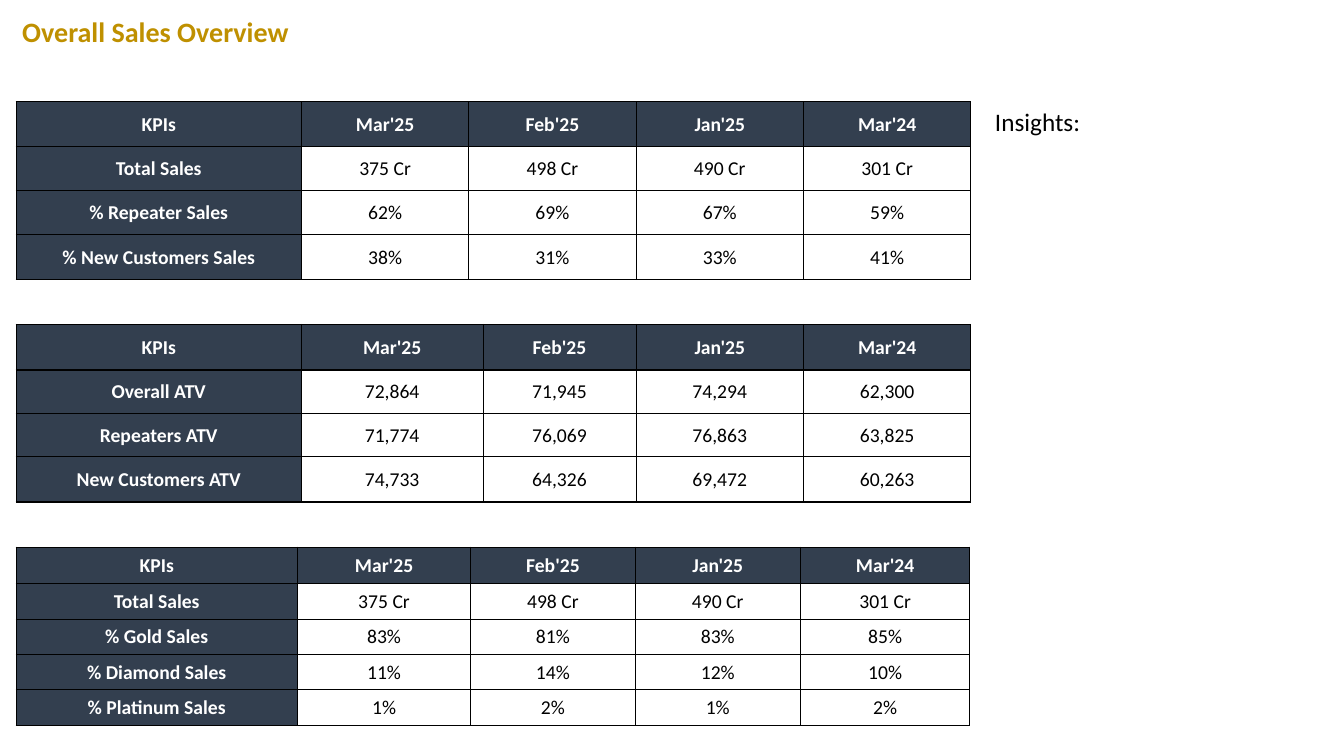
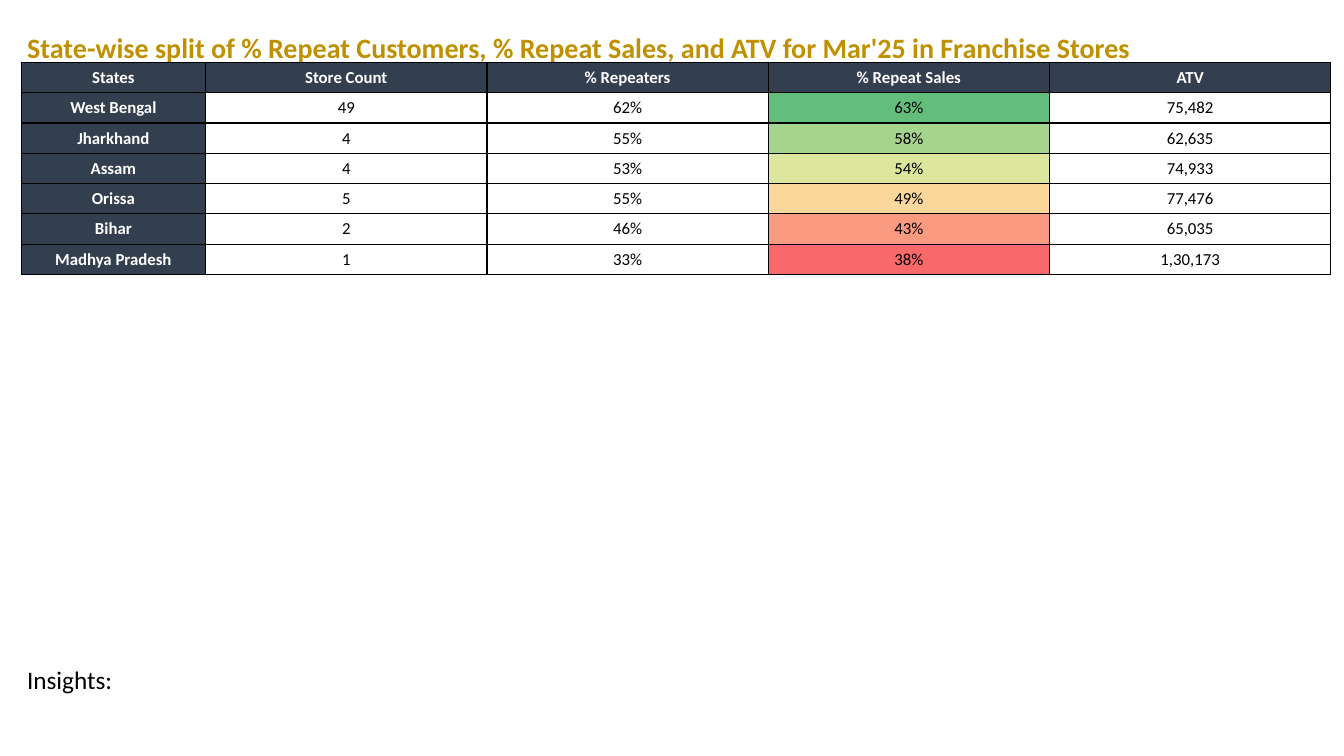
import lxml.etree
import pptx
import pptx.dml.color
import pptx.enum.text
import pptx.oxml.ns
import pptx.util

PX = 9144  # 100 px to the inch
FONT = "Calibri"
COLORS = {
    "title": "BF9000",
    "header": "333F4F",
    "white": "FFFFFF",
    "black": "000000",
}
ALIGN = pptx.enum.text.PP_ALIGN
ANCHOR = pptx.enum.text.MSO_ANCHOR
qn = pptx.oxml.ns.qn


def write(frame, text, size=18, color="black", bold=False, align=ALIGN.LEFT):
    paragraph = frame.paragraphs[0]
    paragraph.text = text
    paragraph.alignment = align
    font = paragraph.runs[0].font
    font.name = FONT
    font.size = pptx.util.Pt(size)
    font.bold = bold
    font.color.rgb = pptx.dml.color.RGBColor.from_string(COLORS[color])


def add_grid(slide, rows, top, columns, heights, left=16, size=14, tight=True,
             heavy_columns=(), heavy_rows=(), fills=None):
    """Table with dark header row and column; heavy lists name the 1 pt rules inside."""
    frame = slide.shapes.add_table(
        len(rows), len(columns), left * PX, top * PX,
        sum(columns) * PX, sum(heights) * PX)
    table = frame.table
    table.first_row = table.horz_banding = False
    for index, width in enumerate(columns):
        table.columns[index].width = width * PX
    for index, height in enumerate(heights):
        table.rows[index].height = height * PX
    thick_x = {0, len(columns), *heavy_columns}
    thick_y = {0, len(rows), *heavy_rows}

    for y, row in enumerate(rows):
        for x, text in enumerate(row):
            cell = table.cell(y, x)
            is_header = x == 0 or y == 0
            write(cell.text_frame, text, size=size, bold=is_header,
                  color="white" if is_header else "black", align=ALIGN.CENTER)
            if tight:
                cell.margin_left = cell.margin_top = cell.margin_right = PX
                cell.margin_bottom = 0
                cell.vertical_anchor = ANCHOR.MIDDLE

            # Borders come before the fill in the cell properties
            properties = cell._tc.get_or_add_tcPr()
            edges = {"L": x in thick_x, "R": x + 1 in thick_x,
                     "T": y in thick_y, "B": y + 1 in thick_y}
            for side, heavy in edges.items():
                line = lxml.etree.SubElement(
                    properties, qn(f"a:ln{side}"), w="12700" if heavy else "6350")
                solid = lxml.etree.SubElement(line, qn("a:solidFill"))
                lxml.etree.SubElement(solid, qn("a:srgbClr"), val=COLORS["black"])

            fill = COLORS["header" if is_header else "white"]
            cell.fill.solid()
            cell.fill.fore_color.rgb = pptx.dml.color.RGBColor.from_string(
                (fills or {}).get((y, x), fill))


presentation = pptx.Presentation()
presentation.slide_width = 1333 * PX
presentation.slide_height = 750 * PX

# Title and insights label of each slide: text, then left, top, width, height
PAGES = [
    ("Overall Sales Overview", (12, 9, 1307, 44), (977, 101, 341, 40)),
    ("State-wise split of % Repeat Customers, % Repeat Sales, and ATV for Mar'25 "
     "in Franchise Stores", (17, 25, 1128, 44), (17, 654, 1265, 40)),
]
slides = []
for title_text, title_box, insights_box in PAGES:
    slide = presentation.slides.add_slide(presentation.slide_layouts[5])
    title = slide.shapes.title
    title.left, title.top, title.width, title.height = [n * PX for n in title_box]
    title.text_frame.vertical_anchor = ANCHOR.TOP
    title.text_frame.auto_size = pptx.enum.text.MSO_AUTO_SIZE.NONE
    write(title.text_frame, title_text, size=20, color="title", bold=True)
    insights = slide.shapes.add_textbox(*[n * PX for n in insights_box])
    insights.text_frame.word_wrap = True
    write(insights.text_frame, "Insights:")
    slides.append(slide)
overview, states = slides

# Slide 1: three monthly KPI tables
months = ["KPIs", "Mar'25", "Feb'25", "Jan'25", "Mar'24"]
total_sales = ["Total Sales", "375 Cr", "498 Cr", "490 Cr", "301 Cr"]
add_grid(overview, [
    months,
    total_sales,
    ["% Repeater Sales", "62%", "69%", "67%", "59%"],
    ["% New Customers Sales", "38%", "31%", "33%", "41%"],
], top=101, columns=[283, 166, 166, 166, 166], heights=[44] * 4)
add_grid(overview, [
    months,
    ["Overall ATV", "72,864", "71,945", "74,294", "62,300"],
    ["Repeaters ATV", "71,774", "76,069", "76,863", "63,825"],
    ["New Customers ATV", "74,733", "64,326", "69,472", "60,263"],
], top=322, columns=[283, 180, 152, 166, 166], heights=[45, 43, 43, 45],
    heavy_columns=[1], heavy_rows=[1])
add_grid(overview, [
    months,
    total_sales,
    ["% Gold Sales", "83%", "81%", "83%", "85%"],
    ["% Diamond Sales", "11%", "14%", "12%", "10%"],
    ["% Platinum Sales", "1%", "2%", "1%", "2%"],
], top=543, columns=[279, 172, 163, 164, 168], heights=[36, 35, 35, 35, 36],
    heavy_columns=[1])

# Slide 2: states, with a green-to-red scale on % Repeat Sales
state_rows = [
    ["States", "Store Count", "% Repeaters", "% Repeat Sales", "ATV"],
    ["West Bengal", "49", "62%", "63%", "75,482"],
    ["Jharkhand", "4", "55%", "58%", "62,635"],
    ["Assam", "4", "53%", "54%", "74,933"],
    ["Orissa", "5", "55%", "49%", "77,476"],
    ["Bihar", "2", "46%", "43%", "65,035"],
    ["Madhya Pradesh", "1", "33%", "38%", "1,30,173"],
]
heat_scale = ["63BE7B", "A5D48D", "DCE69D", "FCD79B", "FA9B81", "F8696B"]
add_grid(states, state_rows, left=21, top=62, columns=[183] + [279] * 4,
         heights=[23] * 7, size=12, tight=False,
         heavy_columns=range(5), heavy_rows=range(7),
         fills={(y, 3): color for y, color in enumerate(heat_scale, start=1)})

presentation.save("out.pptx")
